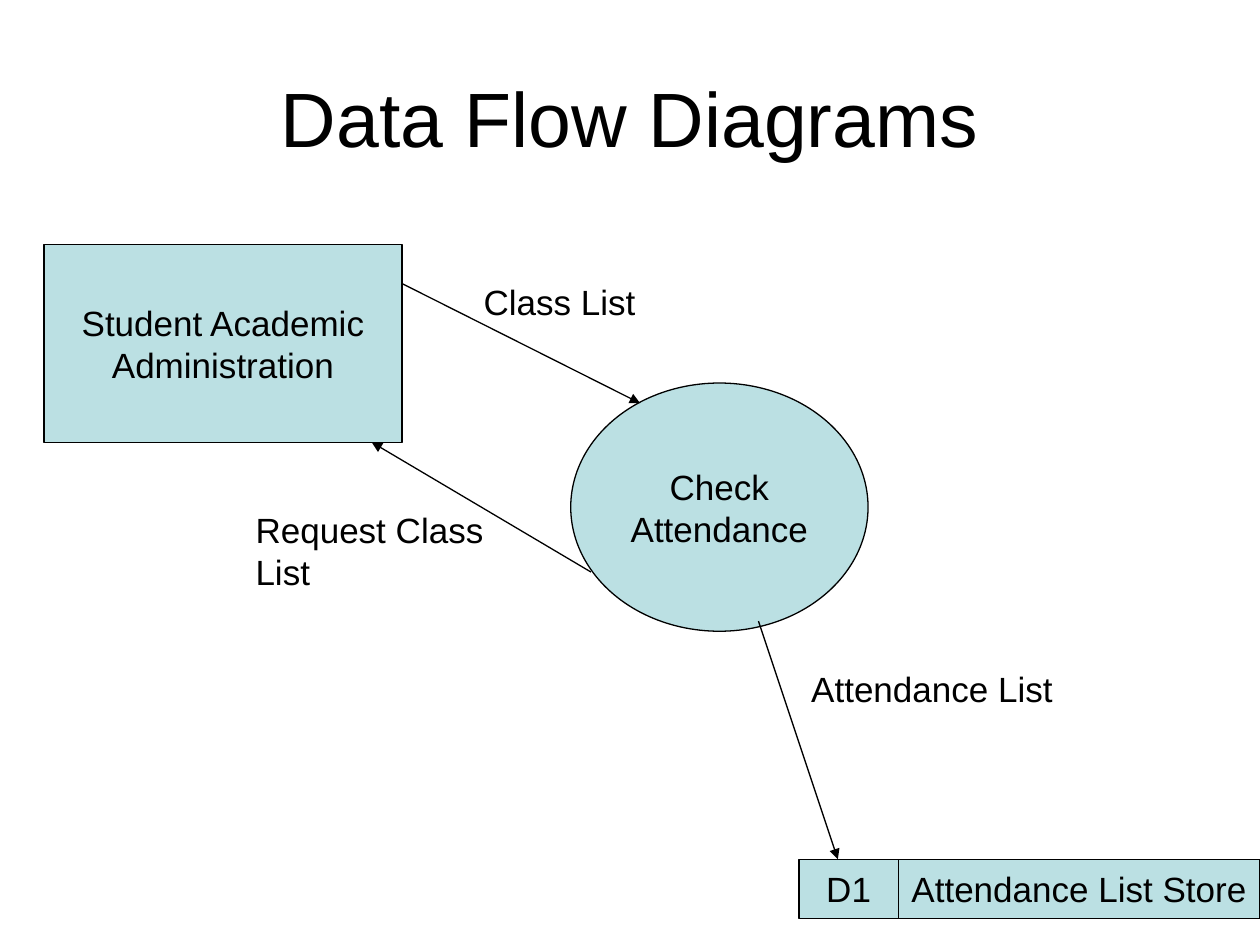
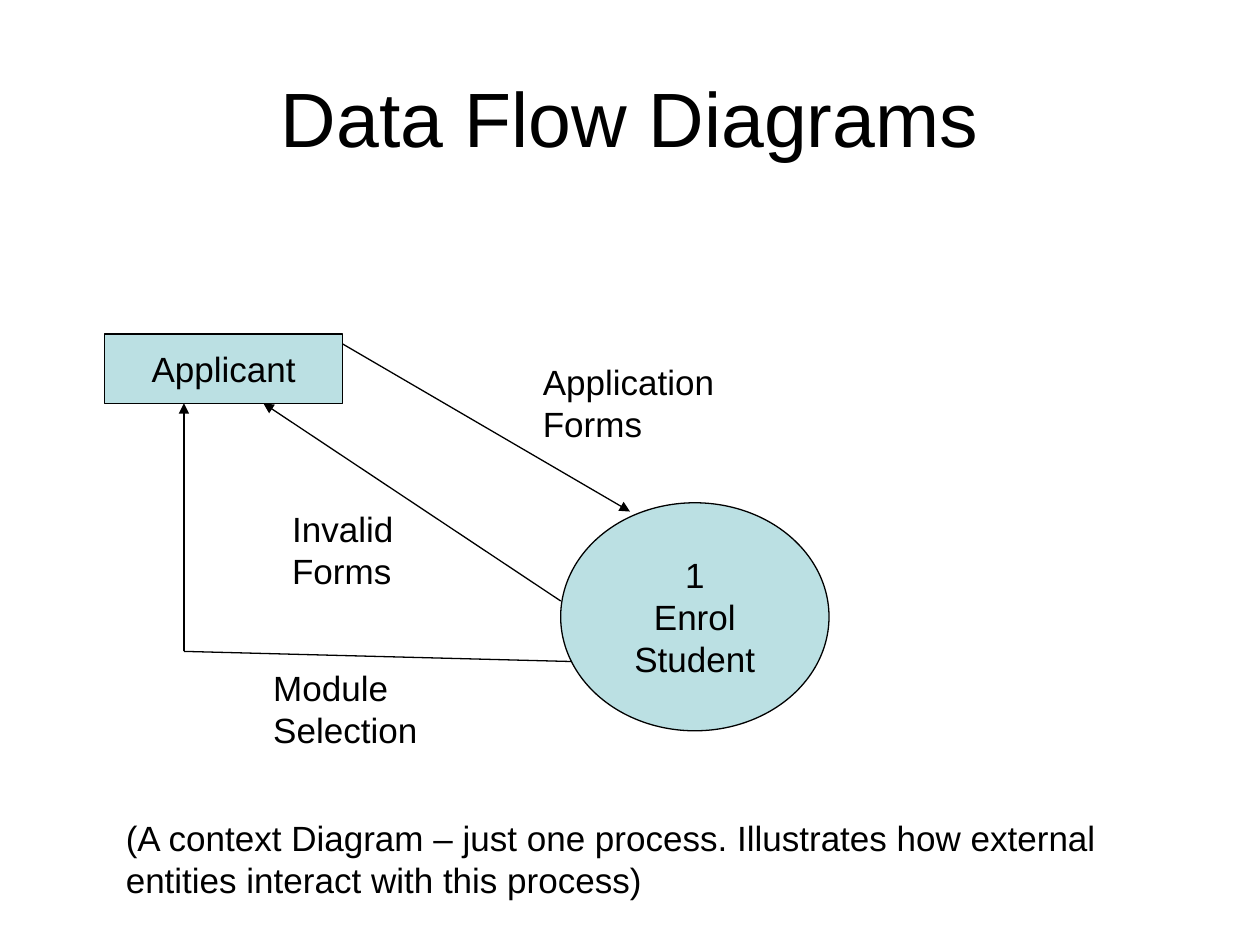
import dataclasses
import typing

import lxml.etree
import pptx
import pptx.dml.color
import pptx.enum.shapes
import pptx.enum.text
import pptx.oxml.ns
import pptx.util

Inches = pptx.util.Inches
Shapes = pptx.enum.shapes.MSO_SHAPE
Anchor = pptx.enum.text.MSO_ANCHOR
Align = pptx.enum.text.PP_ALIGN
AutoSize = pptx.enum.text.MSO_AUTO_SIZE

COLOURS = {"ink": "000000", "fill": "BBE0E3"}
FONT = "Arial"
TITLE_SIZE = 44
LABEL_SIZE = 20
LINE_WIDTH = 0.75
TITLE = "Data Flow Diagrams"
TITLE_BOX = (0.5, 0.3, 9, 1.25)


def colour(name):
    return pptx.dml.color.RGBColor.from_string(COLOURS[name])


def write(frame, text, size, align):
    frame.text = text
    for paragraph in frame.paragraphs:
        paragraph.alignment = align
        for run in paragraph.runs:
            run.font.name = FONT
            run.font.size = pptx.util.Pt(size)
            run.font.color.rgb = colour("ink")


def style_line(line):
    line.color.rgb = colour("ink")
    line.width = pptx.util.Pt(LINE_WIDTH)


@dataclasses.dataclass
class Diagram:
    slide: typing.Any
    left: float
    top: float

    def place(self, x, y):
        return Inches(self.left + x), Inches(self.top + y)

    def node(self, kind, text, x, y, width, height):
        node = self.slide.shapes.add_shape(
            kind, *self.place(x, y), Inches(width), Inches(height))
        node.shadow.inherit = False
        node.fill.solid()
        node.fill.fore_color.rgb = colour("fill")
        style_line(node.line)
        node.text_frame.word_wrap = False
        node.text_frame.vertical_anchor = Anchor.MIDDLE
        write(node.text_frame, text, LABEL_SIZE, Align.CENTER)

    def entity(self, *details):
        self.node(Shapes.RECTANGLE, *details)

    def process(self, *details):
        self.node(Shapes.OVAL, *details)

    def data_store(self, number, name, x, y, number_width, name_width, height):
        self.node(Shapes.RECTANGLE, number, x, y, number_width, height)
        self.node(Shapes.RECTANGLE, name, x + number_width, y, name_width, height)

    def label(self, text, x, y, width, height, wrap=False):
        label = self.slide.shapes.add_textbox(
            *self.place(x, y), Inches(width), Inches(height))
        label.text_frame.word_wrap = wrap
        label.text_frame.auto_size = AutoSize.SHAPE_TO_FIT_TEXT
        write(label.text_frame, text, LABEL_SIZE, Align.LEFT)

    def flow(self, *points):
        segments = list(zip(points, points[1:]))
        for start, end in segments:
            segment = self.slide.shapes.add_connector(
                pptx.enum.shapes.MSO_CONNECTOR.STRAIGHT,
                *self.place(*start), *self.place(*end))
            style_line(segment.line)
            properties = segment._element.spPr
            lxml.etree.SubElement(properties, pptx.oxml.ns.qn("a:effectLst"))
            if end == points[-1]:
                outline = properties.find(pptx.oxml.ns.qn("a:ln"))
                lxml.etree.SubElement(
                    outline, pptx.oxml.ns.qn("a:tailEnd"), type="triangle")


def add_titled_slide(deck):
    slide = deck.slides.add_slide(deck.slide_layouts[5])
    title = slide.shapes.title
    title.left, title.top, title.width, title.height = map(Inches, TITLE_BOX)
    title.text_frame.vertical_anchor = Anchor.MIDDLE
    title.text_frame.auto_size = AutoSize.NONE
    write(title.text_frame, TITLE, TITLE_SIZE, Align.CENTER)
    return slide


def draw_attendance(slide, left, top):
    diagram = Diagram(slide, left, top)
    diagram.entity("Student Academic\nAdministration", 0, 0, 2.84, 1.57)
    diagram.process("Check\nAttendance", 4.18, 1.1, 2.36, 1.97)
    diagram.flow((2.84, 0.31), (4.73, 1.26))
    diagram.flow((4.34, 2.6), (2.6, 1.57))
    diagram.label("Request Class\nList", 1.58, 2.05, 2.03, 0.77)
    diagram.label("Class List", 3.39, 0.24, 1.43, 0.44)
    diagram.flow((5.67, 2.99), (6.3, 4.88))
    diagram.label("Attendance List", 5.99, 3.31, 2.14, 0.44)
    diagram.data_store("D1", "Attendance List Store", 5.99, 4.88, 0.79, 2.87, 0.47)


def draw_enrolment(slide, left, top):
    diagram = Diagram(slide, left, top)
    diagram.process("1\nEnrol\nStudent", 3.62, 1.34, 2.13, 1.81)
    diagram.entity("Applicant", 0, 0, 1.89, 0.55)
    diagram.flow((1.89, 0.08), (4.17, 1.41))
    diagram.flow((3.62, 2.12), (1.26, 0.55))
    diagram.label("Application\nForms", 3.38, 0.16, 1.58, 0.77)
    diagram.label("Invalid\nForms", 1.39, 1.33, 1.03, 0.77)
    diagram.label(
        "(A context Diagram – just one process. Illustrates how external "
        "entities interact with this process)", 0.07, 3.78, 8.51, 0.77, wrap=True)
    diagram.flow((3.7, 2.6), (0.63, 2.52), (0.63, 0.55))
    diagram.label("Module\nSelection", 1.24, 2.59, 1.37, 0.77)


def main():
    deck = pptx.Presentation()
    deck.slide_width, deck.slide_height = Inches(10), Inches(7.5)
    draw_attendance(add_titled_slide(deck), 0.35, 1.94)
    draw_enrolment(add_titled_slide(deck), 0.83, 2.65)
    deck.save("out.pptx")


if __name__ == "__main__":
    main()
